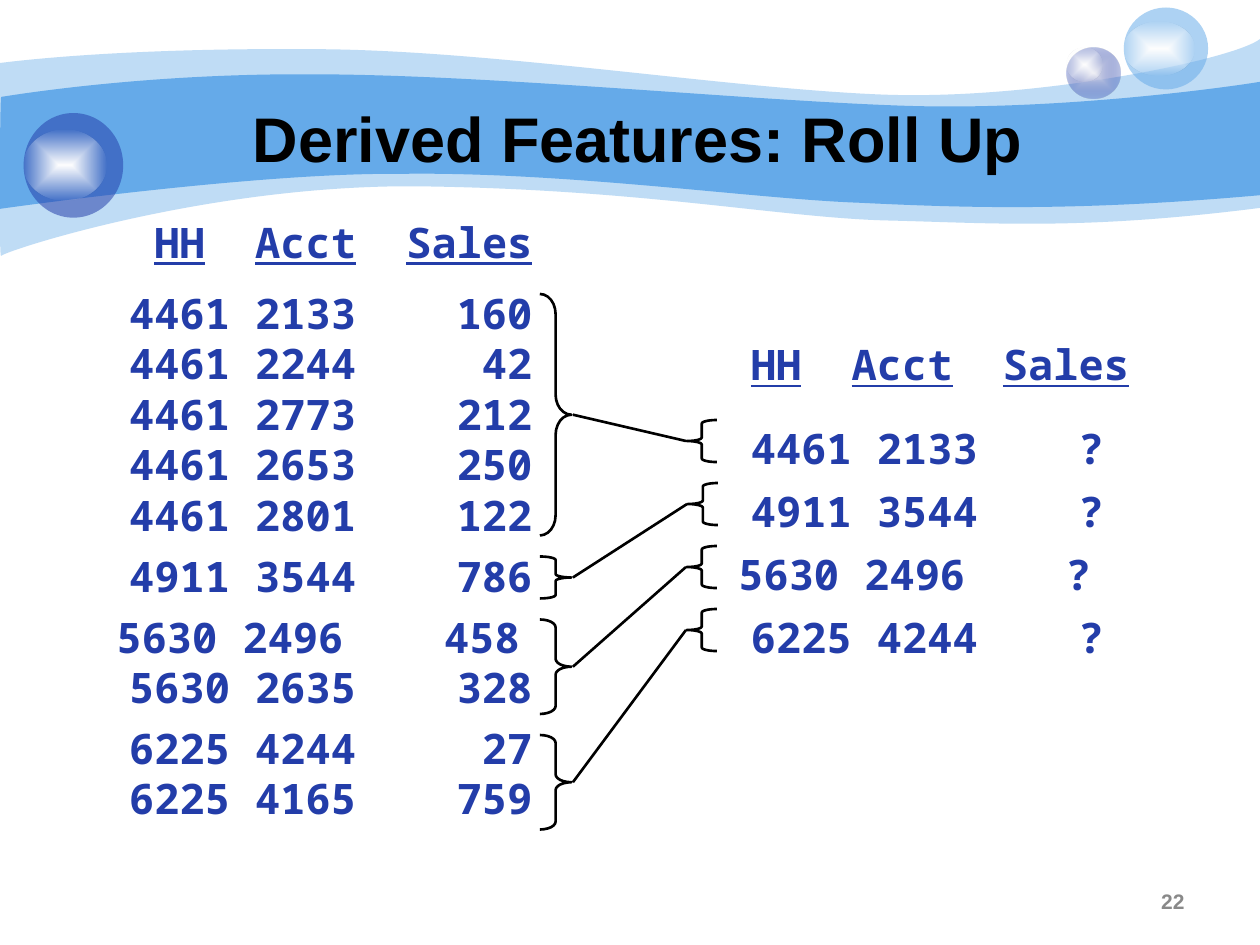
"""Build the "Derived Features: Roll Up" slide."""
from dataclasses import dataclass
from typing import Optional

from lxml import etree
from pptx import Presentation
from pptx import util as u
from pptx.dml.color import RGBColor
from pptx.enum import shapes, text
from pptx.oxml import parse_xml
from pptx.oxml.ns import nsdecls, qn

Pt = u.Pt


@dataclass(frozen=True)
class Theme:
    """Colours, fonts and type sizes."""
    sky: str = "65AAE9"
    navy: str = "233DA9"
    pale: str = "E1E2ED"
    white: str = "FFFFFF"
    black: str = "000000"
    grey: str = "898989"
    sans: str = "Arial"
    mono: str = "Noto Sans Mono"
    title: float = 36
    body: float = 24
    number: float = 12
    char: float = 14.4
    line: float = 1.5


T = Theme()


@dataclass(frozen=True)
class Orb:
    """An ellipse, shaded from its centre when a core colour is given."""
    x: float
    y: float
    w: float
    h: float
    color: str
    alpha: int
    core: Optional[str] = None


@dataclass(frozen=True)
class Row:
    """A line of three cells, placed at character columns."""
    cells: str
    columns: tuple
    before: float = 0
    after: float = 0
    spacing: float = 1
    shift: float = 0
    header: bool = False


@dataclass(frozen=True)
class Link:
    """A group of accounts joined to its rolled-up row."""
    top: float
    height: float
    bend: float
    target_x: float
    target_top: float


WAVES = [
    (41, (0, 36), [
        (17.3, 33.8, 77, 27.4, 177.8, 28.1), (277.9, 28.1, 414, 50.4, 503.3, 54),
        (591.8, 57.6, 705.6, 33.8, 720, 22.3), (720, 22.3, 720, 118.8, 720, 118.8),
        (617.8, 131.8, 566.6, 127.4, 507.6, 126), (447.8, 124.6, 370.8, 108.7, 247, 106.6),
        (123.8, 103.7, 2.9, 143.3, 0.7, 146.2), (-0.7, 149.8, 0, 54, 0, 36)]),
    (100, (0.7, 55.4), [
        (1.4, 55.4, 79.2, 41.8, 178.6, 42.5), (277.9, 42.5, 428.4, 57.6, 517, 60.5),
        (605.5, 63.4, 702.7, 49.7, 720, 46.8), (720, 46.8, 720, 111.6, 720, 111.6),
        (614.2, 121, 550.8, 118.8, 491, 115.9), (431.3, 113.8, 321.8, 97.9, 228.2, 99.4),
        (146.2, 98.6, -1.4, 119.5, -0.7, 119.5), (0, 119.5, 0, 55.4, 0.7, 55.4)]),
]
ORBS = [
    Orb(609.8, 27.4, 30.2, 28.8, T.navy, 31, T.pale),
    Orb(609.8, 27.4, 20.2, 19.4, T.white, 0, T.white),
    Orb(642.2, 4.3, 48.2, 46.8, T.sky, 53),
    Orb(642.2, 12.2, 40.3, 31, T.white, 0, T.white),
    Orb(13.5, 64.6, 56.9, 59.8, T.navy, 53),
    Orb(13.5, 74.2, 47.5, 40.3, T.white, 0, T.white),
]
GROUPS = [
    ["4461 2133 160", "4461 2244 42", "4461 2773 212", "4461 2653 250", "4461 2801 122"],
    ["4911 3544 786"],
    ["5630 2496 458", "5630 2635 328"],
    ["6225 4244 27", "6225 4165 759"],
]
LINKS = [
    Link(168, 138, 0.639, 392.4, 240),
    Link(318, 24, 0.111, 393, 276),
    Link(354, 54, 0.25, 392.4, 312),
    Link(420, 54, 0.25, 392.4, 348),
]
HEADING = "HH Acct Sales"
SHIFTED = "5630 2496"


def paint(sp, color: str, alpha: int = 100) -> None:
    """Give a shape a plain fill and no outline or shadow."""
    sp.shadow.inherit = False
    sp.line.fill.background()
    sp.fill.solid()
    sp.fill.fore_color.rgb = RGBColor.from_string(color)
    if alpha < 100:
        clr = sp._element.spPr.find(".//" + qn("a:srgbClr"))
        etree.SubElement(clr, qn("a:alpha"), val=str(alpha * 1000))


def add_wave(s, alpha: int, start: tuple, curves: list) -> None:
    """Draw a closed band whose outline follows Bezier curves."""
    ends = [curve[4:] for curve in curves]
    left, top = (min(axis) for axis in zip(start, *ends))
    unit = 100
    fb = s.shapes.build_freeform(start[0] * unit, start[1] * unit, scale=Pt(1) / unit)
    fb.add_line_segments([(x * unit, y * unit) for x, y in ends], close=True)
    sp = fb.convert_to_shape()
    for line, curve in zip(sp._element.findall(".//" + qn("a:lnTo")), curves):
        bend = etree.Element(qn("a:cubicBezTo"))
        for x, y in zip(curve[::2], curve[1::2]):
            etree.SubElement(bend, qn("a:pt"), x=str(round((x - left) * unit)),
                             y=str(round((y - top) * unit)))
        line.getparent().replace(line, bend)
    paint(sp, T.sky, alpha)


def add_orb(s, orb: Orb) -> None:
    """Draw a translucent ball or its highlight."""
    sp = s.shapes.add_shape(shapes.MSO_SHAPE.OVAL, Pt(orb.x), Pt(orb.y), Pt(orb.w), Pt(orb.h))
    paint(sp, orb.color, orb.alpha)
    if orb.core:
        spPr = sp._element.spPr
        spPr.replace(spPr.find(qn("a:solidFill")), parse_xml(
            f'<a:gradFill {nsdecls("a")} rotWithShape="1"><a:gsLst>'
            f'<a:gs pos="0"><a:srgbClr val="{orb.core}"/></a:gs>'
            f'<a:gs pos="100000"><a:srgbClr val="{orb.color}">'
            f'<a:alpha val="{orb.alpha * 1000}"/></a:srgbClr></a:gs></a:gsLst>'
            '<a:path path="shape"><a:fillToRect l="50000" t="50000" r="50000" b="50000"/>'
            '</a:path></a:gradFill>'))


def style(r, font: str, size: float, color: str) -> None:
    """Set a run in bold type."""
    r.font.name, r.font.size, r.font.bold = font, Pt(size), True
    r.font.color.rgb = RGBColor.from_string(color)


def add_box(s, x: float, y: float, w: float, h: float):
    """Add a wrapping text box and return its text frame."""
    tf = s.shapes.add_textbox(Pt(x), Pt(y), Pt(w), Pt(h)).text_frame
    tf.word_wrap = True
    return tf


def add_label(s, box: tuple, label: str, size: float, color: str, align, anchor) -> None:
    """Add a single line of sans type."""
    tf = add_box(s, *box)
    tf.text, tf.vertical_anchor = label, anchor
    p = tf.paragraphs[0]
    p.alignment = align
    style(p.runs[0], T.sans, size, color)


def add_listing(s, box: tuple, indent: float, rows: list) -> None:
    """Set rows in columns held by tab stops, the last one flush right."""
    tf = add_box(s, *box)
    tf.margin_left = 0
    for i, row in enumerate(rows):
        p = tf.add_paragraph() if i else tf.paragraphs[0]
        p.space_before, p.space_after = Pt(row.before), Pt(row.after)
        p.line_spacing = row.spacing
        stops = etree.SubElement(p._p.get_or_add_pPr(), qn("a:tabLst"))
        for column, align in zip(row.columns, ("l", "l", "r")):
            pos = Pt(indent + (column + row.shift) * T.char)
            etree.SubElement(stops, qn("a:tab"), pos=str(int(pos)), algn=align)
        line = "\t" + row.cells.replace(" ", "\t")
        for part in line.replace("\t", " \t ").split(" ")[1:] if row.header else [line]:
            r = p.add_run()
            r.text = part
            style(r, T.mono, T.body, T.navy)
            r.font.underline = row.header and part != "\t"


def ink(sp) -> None:
    """Give a brace or connector its outline."""
    sp.line.color.rgb = RGBColor.from_string(T.black)
    sp.line.width = Pt(T.line)


def add_brace(s, kind, x: float, y: float, w: float, h: float, bend: float) -> None:
    """Draw a curly brace."""
    sp = s.shapes.add_shape(kind, Pt(x), Pt(y), Pt(w), Pt(h))
    sp.shadow.inherit = False
    sp.fill.background()
    sp.adjustments[0] = bend
    ink(sp)


def add_link(s, link: Link) -> None:
    """Brace a group and its target row, and join the two."""
    add_brace(s, shapes.MSO_SHAPE.RIGHT_BRACE, 308.5, link.top, 18, link.height, link.bend)
    add_brace(s, shapes.MSO_SHAPE.LEFT_BRACE, link.target_x, link.target_top, 17.3, 24, 0.116)
    cx = s.shapes.add_connector(
        shapes.MSO_CONNECTOR.STRAIGHT, Pt(327.4), Pt(link.top + link.height / 2),
        Pt(link.target_x - 0.4), Pt(link.target_top + 12))
    ink(cx)
    etree.SubElement(cx._element.spPr, qn("a:effectLst"))


def main() -> None:
    """Build and save the slide."""
    prs = Presentation()
    prs.slide_width, prs.slide_height = Pt(720), Pt(540)
    s = prs.slides.add_slide(prs.slide_layouts[6])
    for wave in WAVES:
        add_wave(s, *wave)
    for orb in ORBS:
        add_orb(s, orb)
    add_label(s, (73.5, 56.2, 581.8, 44.6), "Derived Features: Roll Up", T.title, T.black,
              text.PP_ALIGN.CENTER, text.MSO_ANCHOR.MIDDLE)
    add_label(s, (516.2, 504, 167.8, 25.2), "22", T.number, T.grey,
              text.PP_ALIGN.RIGHT, text.MSO_ANCHOR.TOP)
    sales = [Row(HEADING, (1, 5, 16), after=12, header=True)]
    rolled = [Row(HEADING, (0, 4, 15), after=12, header=True)]
    for i, group in enumerate(GROUPS):
        for j, cells in enumerate(group):
            shift = -0.5 if cells.startswith(SHIFTED) else 0
            sales.append(Row(cells, (0, 5, 16), before=6 if i and not j else 0, shift=shift))
            if not j:
                rolled.append(Row(f"{cells[:9]} ?", (0, 5, 14), spacing=1.25, shift=shift))
    add_listing(s, (59.8, 120, 260.6, 359.3), 14, sales)
    add_listing(s, (407.5, 189.8, 246.2, 194.4), 21.6, rolled)
    for link in LINKS:
        add_link(s, link)
    prs.save("out.pptx")


if __name__ == "__main__":
    main()
